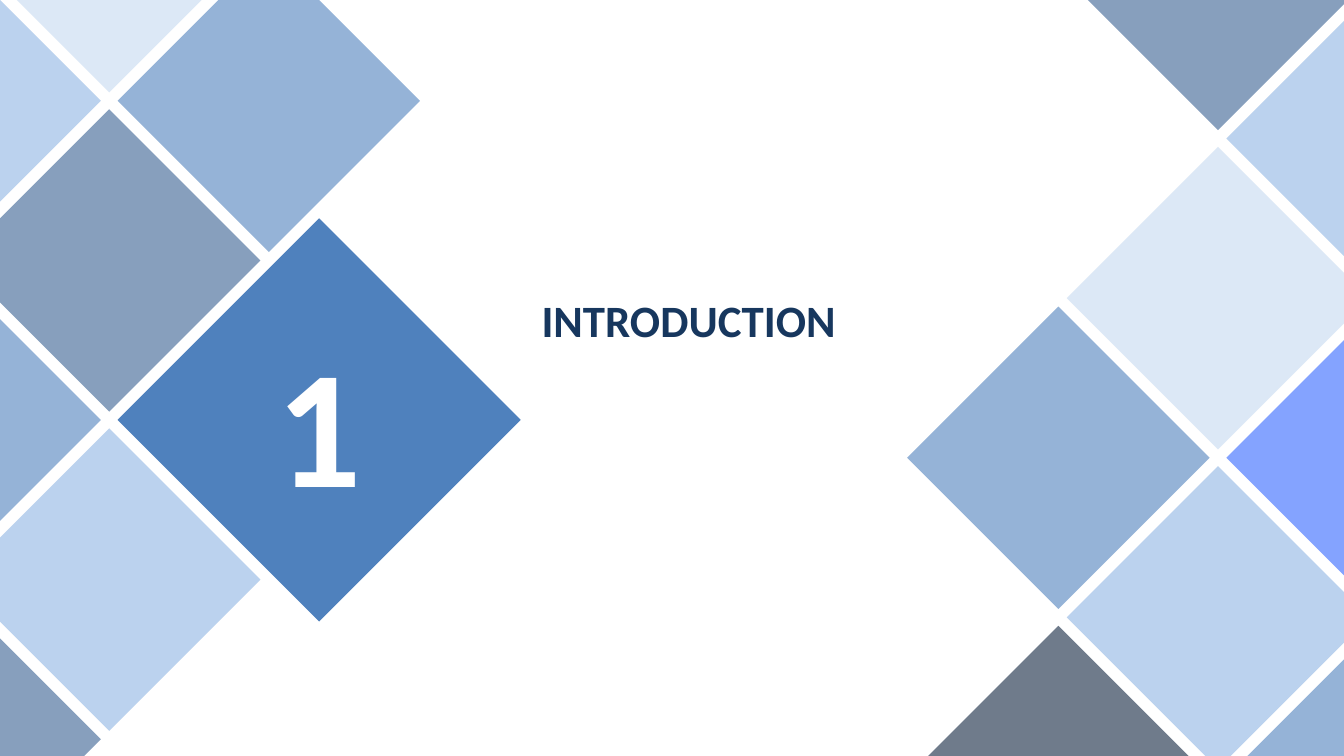
import dataclasses
import typing

import lxml.etree
import pptx
import pptx.dml.color
import pptx.enum.shapes
import pptx.enum.text
import pptx.oxml.ns
import pptx.util

EMU_PER_PX = 9525
TILE_SIZE = 288
TILE_STEP = 152
TILE_OPACITY = 60
NAVY, STEEL, SKY, PALE = "376092", "4F81BD", "8EB4E3", "C6D9F1"
INK, VIOLET, WHITE, TITLE_BLUE = "0F243E", "3366FF", "FFFFFF", "17375E"


@dataclasses.dataclass(frozen=True)
class Tile:
    column: int
    row: int
    colour: str


@dataclasses.dataclass(frozen=True)
class Mosaic:
    left: int
    top: int
    rotation: int
    tiles: tuple[Tile, ...]


MOSAICS = (
    Mosaic(864, -164, 0, (
        Tile(1, 0, NAVY), Tile(1, 2, PALE), Tile(2, 1, SKY), Tile(0, 3, STEEL),
        Tile(2, 5, STEEL), Tile(0, 5, INK), Tile(2, 3, VIOLET), Tile(1, 4, SKY),
    )),
    Mosaic(-192, -200, 180, (
        Tile(1, 4, SKY), Tile(1, 2, NAVY), Tile(0, 3, STEEL), Tile(2, 1, STEEL),
        Tile(0, 1, SKY), Tile(1, 0, PALE), Tile(0, 5, NAVY),
    )),
)


def px(length: int) -> pptx.util.Emu:
    return pptx.util.Emu(length * EMU_PER_PX)


def rgb(colour: str) -> pptx.dml.color.RGBColor:
    return pptx.dml.color.RGBColor.from_string(colour)


def add_diamond(shapes: typing.Any, left: int, top: int, size: int,
                colour: str, opacity: int = 100) -> typing.Any:
    diamond = shapes.add_shape(pptx.enum.shapes.MSO_SHAPE.DIAMOND,
                               px(left), px(top), px(size), px(size))
    diamond.shadow.inherit = False
    diamond.line.fill.background()
    diamond.fill.solid()
    diamond.fill.fore_color.rgb = rgb(colour)
    if opacity < 100:
        tint = diamond.fill._xPr.find(".//" + pptx.oxml.ns.qn("a:srgbClr"))
        alpha = lxml.etree.SubElement(tint, pptx.oxml.ns.qn("a:alpha"))
        alpha.set("val", str(opacity * 1000))
    return diamond


def add_mosaic(page: typing.Any, mosaic: Mosaic) -> None:
    group = page.shapes.add_group_shape()
    for tile in mosaic.tiles:
        diamond = add_diamond(group.shapes,
                              mosaic.left + tile.column * TILE_STEP,
                              mosaic.top + tile.row * TILE_STEP,
                              TILE_SIZE, tile.colour, TILE_OPACITY)
        diamond.rotation = mosaic.rotation


def write_centred(box: typing.Any, text: str, size: int, colour: str) -> None:
    frame = box.text_frame
    frame.word_wrap = True
    frame.vertical_anchor = pptx.enum.text.MSO_ANCHOR.MIDDLE
    para = frame.paragraphs[0]
    para.alignment = pptx.enum.text.PP_ALIGN.CENTER
    span = para.add_run()
    span.text = text
    formats = {"name": "Calibri", "size": pptx.util.Pt(size), "bold": True}
    for attribute, value in formats.items():
        setattr(span.font, attribute, value)
    span.font.color.rgb = rgb(colour)


def main() -> None:
    """Build the section opener with its two diamond mosaics."""
    deck = pptx.Presentation()
    deck.slide_width, deck.slide_height = px(1280), px(720)
    page = deck.slides.add_slide(deck.slide_layouts[6])
    for mosaic in MOSAICS:
        add_mosaic(page, mosaic)
    number = add_diamond(page.shapes, 112, 208, 384, STEEL)
    write_centred(number, "1", 120, WHITE)
    title = page.shapes.add_textbox(px(304), px(208), px(704), px(192))
    write_centred(title, "INTRODUCTION", 32, TITLE_BLUE)
    deck.save("out.pptx")


if __name__ == "__main__":
    main()
